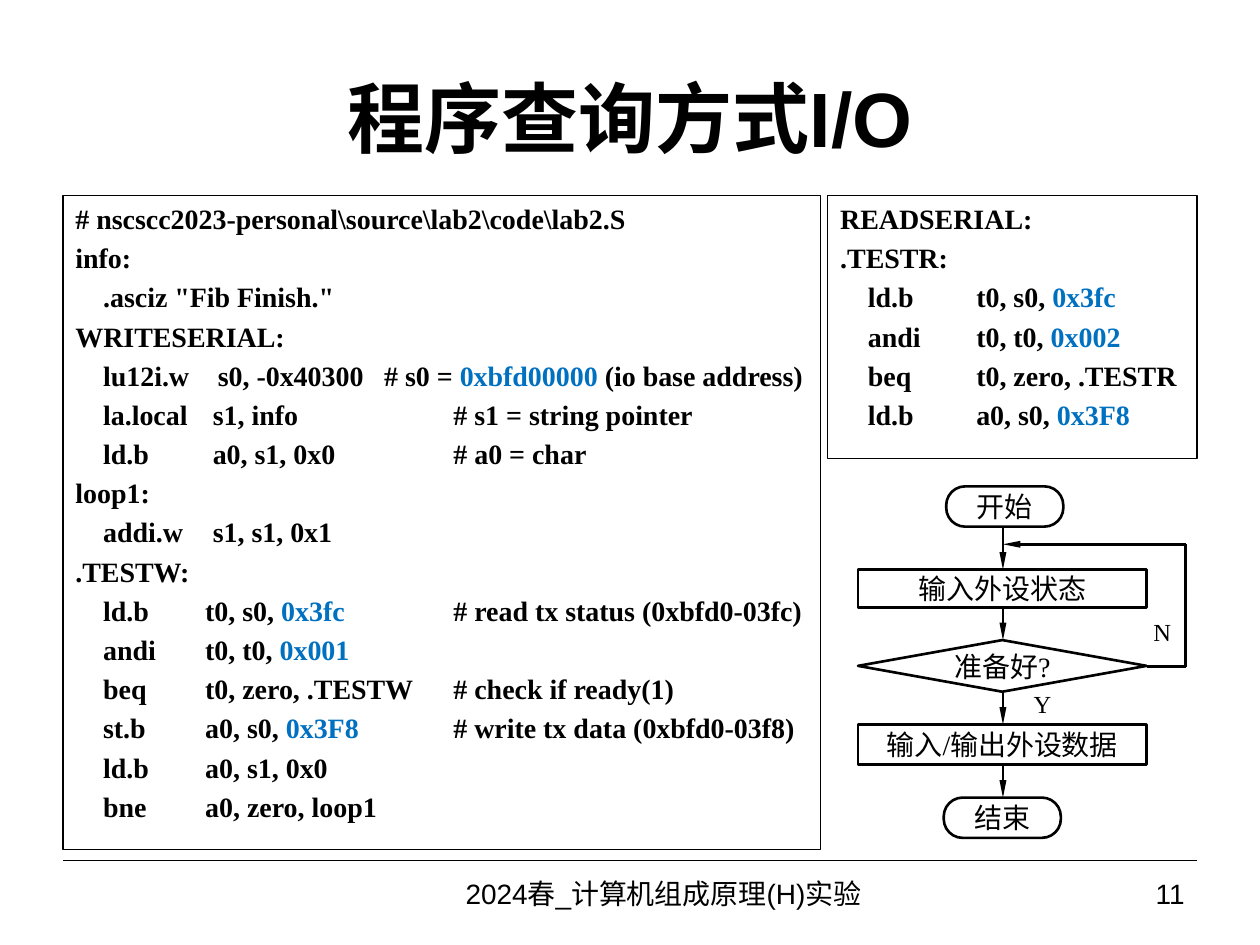
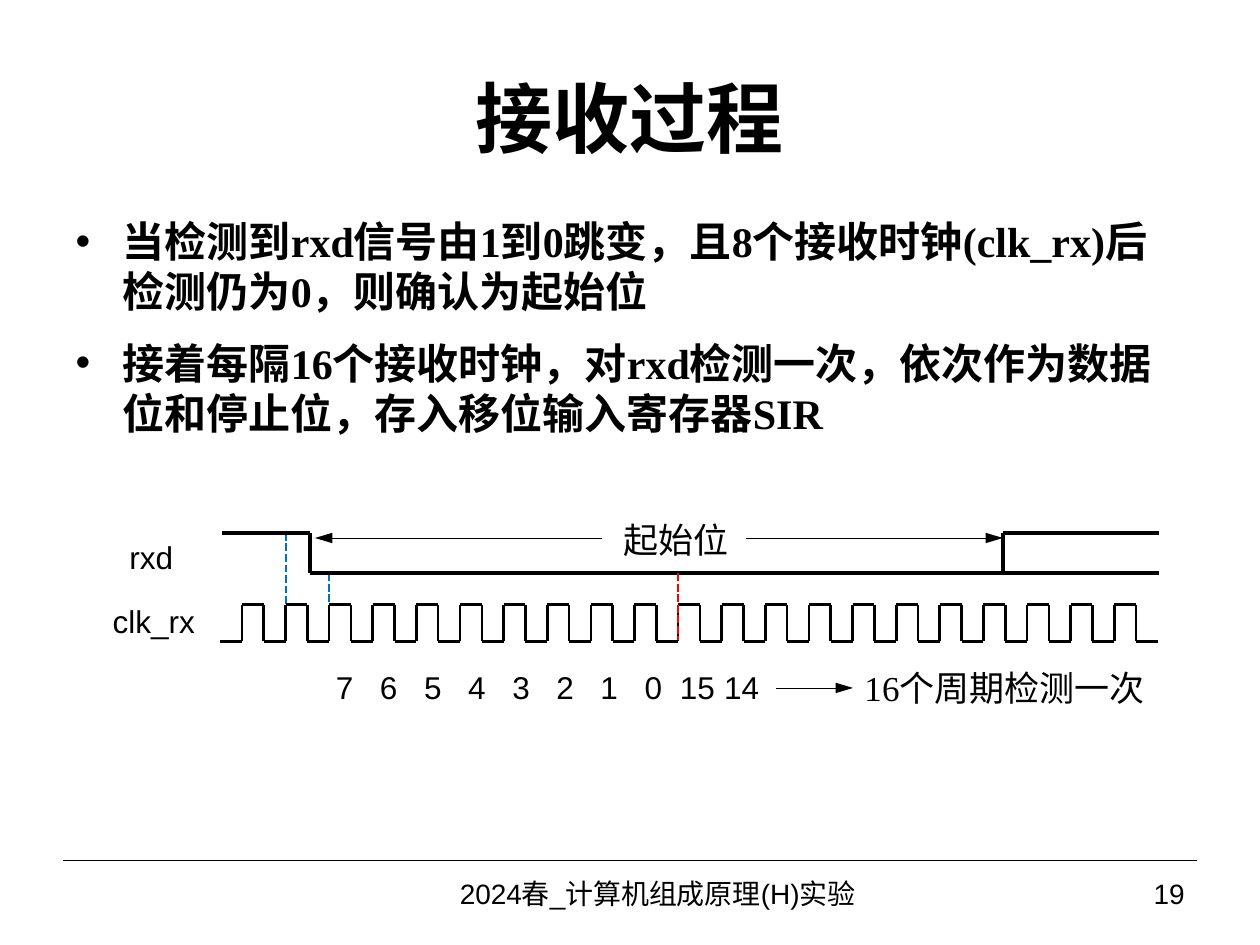
from lxml import etree
from pptx import Presentation
from pptx import util as u
from pptx.dml.color import RGBColor
from pptx.enum import dml, shapes, text
from pptx.oxml.ns import qn

BLACK = RGBColor(0, 0, 0)
BLUE = RGBColor(0x00, 0x70, 0xC0)
RED = RGBColor(0xFF, 0, 0)
SANS, SERIF = "Arial", "Times New Roman"
SHAPE = shapes.MSO_SHAPE
CENTER, RIGHT = text.PP_ALIGN.CENTER, text.PP_ALIGN.RIGHT
TITLE_AND_CONTENT, TITLE_ONLY = 1, 5

FOOTER = "2024春_计算机组成原理(H)实验 "

# Tab stops in inches: indent, operands, comment
UPPER, LOWER = (0.22, 1.09, 3), (0.22, 1.03, 3)
LONG_COMMENT = (0.22, 1.13, 2.45)
SERIAL = (0.22, 1.08)

# Code lines with their tab stops; |...| marks highlighted values
WRITE_CODE = [
    ("# nscscc2023-personal\\source\\lab2\\code\\lab2.S", UPPER),
    ("info:", UPPER),
    ("\t.asciz \"Fib Finish.\"", UPPER),
    ("WRITESERIAL:", UPPER),
    ("\tlu12i.w\ts0, -0x40300\t# s0 = |0xbfd00000| (io base address)", LONG_COMMENT),
    ("\tla.local\ts1, info\t# s1 = string pointer", UPPER),
    ("\tld.b\ta0, s1, 0x0\t# a0 = char", UPPER),
    ("loop1:", UPPER),
    ("\taddi.w\ts1, s1, 0x1", UPPER),
    (".TESTW:", LOWER),
    ("\tld.b\tt0, s0, |0x3fc|\t# read tx status (0xbfd0-03fc)", LOWER),
    ("\tandi\tt0, t0, |0x001|", LOWER),
    ("\tbeq\tt0, zero, .TESTW\t# check if ready(1)", LOWER),
    ("\tst.b\ta0, s0, |0x3F8|\t# write tx data (0xbfd0-03f8)", LOWER),
    ("\tld.b\ta0, s1, 0x0", LOWER),
    ("\tbne\ta0, zero, loop1", LOWER),
]
READ_CODE = [
    ("READSERIAL:", SERIAL),
    (".TESTR:", SERIAL),
    ("\tld.b\tt0, s0, |0x3fc|", SERIAL),
    ("\tandi\tt0, t0, |0x002|", SERIAL),
    ("\tbeq\tt0, zero, .TESTR", SERIAL),
    ("\tld.b\ta0, s0, |0x3F8|", SERIAL),
]
CODE_BOXES = [
    (WRITE_CODE, (0.5, 1.55, 6.01, 5.19)),
    (READ_CODE, (6.57, 1.55, 2.93, 2.09)),
]

FLOW_NODES = [
    ("开始", SHAPE.ROUNDED_RECTANGLE, (7.51, 3.86, 0.93, 0.32)),
    ("输入外设状态", SHAPE.RECTANGLE, (6.81, 4.52, 2.29, 0.3)),
    ("准备好?", SHAPE.DIAMOND, (6.81, 5.08, 2.29, 0.41)),
    ("输入/输出外设数据", SHAPE.RECTANGLE, (6.81, 5.75, 2.29, 0.32)),
    ("结束", SHAPE.ROUNDED_RECTANGLE, (7.49, 6.33, 0.93, 0.32)),
]
FLOW_X = 7.96
FLOW_LABELS = [("N", (9.09, 4.86, 0.27, 0.31)), ("Y", (7.96, 5.47, 0.63, 0.23))]
RETURN_PATH = [(9.1, 5.29), (9.41, 5.29), (9.41, 4.32)]

RECEIVE_STEPS = [
    "当检测到rxd信号由1到0跳变，且8个接收时钟(clk_rx)后检测仍为0，则确认为起始位",
    "接着每隔16个接收时钟，对rxd检测一次，依次作为数据位和停止位，存入移位输入寄存器SIR",
]
RXD_HIGH, RXD_LOW = 4.23, 4.55
RXD_PATHS = [
    [(1.76, RXD_HIGH), (2.46, RXD_HIGH), (2.46, RXD_LOW), (9.2, RXD_LOW)],
    [(7.96, RXD_LOW), (7.96, RXD_HIGH), (9.2, RXD_HIGH)],
]
CLOCK_HIGH, CLOCK_LOW = 4.8, 5.09
CLOCK_START, CLOCK_END, PULSES = 1.92, 9.19, 21
EDGE_MARKS = [
    ((2.61, RXD_LOW), (2.61, 5.08)),
    ((2.27, RXD_HIGH), (2.27, 5.01)),
]
SAMPLE_MARK = ((5.38, RXD_LOW), (5.38, 5.08))
THIN_ARROWS = [
    ((5.92, 4.27), (7.96, 4.27)),
    ((4.78, 4.27), (2.5, 4.27)),
    ((6.16, 5.46), (6.77, 5.46)),
]
SIGNAL_LABELS = [
    ("rxd", (0.94, 4.22, 0.52, 0.4), SANS, 18),
    ("clk_rx", (0.81, 4.73, 0.82, 0.4), SANS, 18),
    ("起始位", (4.93, 4.06, 0.87, 0.44), SERIF, 20),
    ("16个周期检测一次", (6.76, 5.24, 2.43, 0.44), SERIF, 20),
]
COUNTDOWN = [7, 6, 5, 4, 3, 2, 1, 0, 15, 14]


def inches(values):
    return [u.Inches(value) for value in values]


def place(shape, area):
    shape.left, shape.top, shape.width, shape.height = inches(area)


def format_span(span, font, size, bold=False, color=BLACK):
    span.font.name, span.font.size, span.font.bold = font, u.Pt(size), bold
    span.font.color.rgb = color


def write(shape, words, font, size, align=CENTER, inset=0.0, wrap=True):
    """Put one vertically centred line of text into a shape."""
    frame = shape.text_frame
    frame.text = words
    frame.word_wrap = wrap
    frame.vertical_anchor = text.MSO_ANCHOR.MIDDLE
    frame.margin_left = frame.margin_right = u.Inches(inset)
    frame.margin_top = frame.margin_bottom = 0
    para = frame.paragraphs[0]
    para.alignment = align
    format_span(para.runs[0], font, size)


def add_label(page, words, area, font, size, **options):
    write(page.shapes.add_textbox(*inches(area)), words, font, size, **options)


def add_outlined(page, kind, area, width):
    shape = page.shapes.add_shape(kind, *inches(area))
    shape.shadow.inherit = False
    shape.fill.background()
    shape.line.color.rgb = BLACK
    shape.line.width = u.Pt(width)
    return shape


def add_line(page, start, end, width, color=BLACK, head=None, dashed=False):
    """Draw a line; head is the arrowhead width at its end ("sm" or "med")."""
    line = page.shapes.add_connector(
        shapes.MSO_CONNECTOR.STRAIGHT, *inches(start + end))
    line.line.color.rgb = color
    line.line.width = u.Pt(width)
    if dashed:
        line.line.dash_style = dml.MSO_LINE.SQUARE_DOT
    properties = line._element.spPr
    if head:
        etree.SubElement(properties.find(qn("a:ln")), qn("a:tailEnd"),
                         type="triangle", w=head, len="lg")
    etree.SubElement(properties, qn("a:effectLst"))


def add_path(page, points, width):
    for start, end in zip(points, points[1:]):
        add_line(page, start, end, width)


def write_code(shape, lines):
    frame = shape.text_frame
    frame.word_wrap = True
    frame.vertical_anchor = text.MSO_ANCHOR.TOP
    for index, (line, stops) in enumerate(lines):
        para = frame.paragraphs[0] if index == 0 else frame.add_paragraph()
        para.alignment = text.PP_ALIGN.LEFT
        para.space_before = u.Pt(3.2)
        for part, words in enumerate(line.split("|")):
            if words:
                span = para.add_run()
                span.text = words
                format_span(span, SERIF, 16, True, BLUE if part % 2 else BLACK)
        tabs = etree.SubElement(para._p.get_or_add_pPr(), qn("a:tabLst"))
        for stop in stops:
            etree.SubElement(tabs, qn("a:tab"), pos=str(u.Inches(stop)), algn="l")


def add_page(deck, layout, title, number, footer_width):
    page = deck.slides.add_slide(deck.slide_layouts[layout])
    heading = page.shapes.title
    place(heading, (0.5, 0.3, 9, 1.25))
    write(heading, title, SANS, 44, inset=0.1)
    heading.text_frame.paragraphs[0].runs[0].font.bold = True
    add_line(page, (0.5, 6.83), (9.5, 6.83), 0.75)
    number_left = 2.83 + footer_width
    add_label(page, FOOTER, (2.83, 6.83, footer_width, 0.52), SANS, 16, inset=0.1)
    add_label(page, str(number), (number_left, 6.83, 9.5 - number_left, 0.52),
              SANS, 16, align=RIGHT, inset=0.1)
    return page


def add_flowchart(page):
    for words, kind, area in FLOW_NODES:
        node = add_outlined(page, kind, area, 1.5)
        if kind == SHAPE.ROUNDED_RECTANGLE:
            node.adjustments[0] = 0.47
        write(node, words, SERIF, 16, wrap=False)
    for (_, _, above), (_, _, below) in zip(FLOW_NODES, FLOW_NODES[1:]):
        add_line(page, (FLOW_X, above[1] + above[3]), (FLOW_X, below[1]),
                 1.5, head="sm")
    for words, area in FLOW_LABELS:
        add_label(page, words, area, SERIF, 14, wrap=False)
    add_path(page, RETURN_PATH, 1.5)
    add_line(page, RETURN_PATH[-1], (FLOW_X, 4.32), 1.5, head="sm")


def build_polling(deck):
    page = add_page(deck, TITLE_ONLY, "程序查询方式I/O", 11, 4.92)
    for lines, area in CODE_BOXES:
        write_code(add_outlined(page, SHAPE.RECTANGLE, area, 0.75), lines)
    add_flowchart(page)


def clock_points():
    period = (CLOCK_END - CLOCK_START) / PULSES
    points = [(CLOCK_START - period / 2, CLOCK_LOW)]
    for pulse in range(PULSES):
        rise = CLOCK_START + pulse * period
        fall = rise + period / 2
        points += [(rise, CLOCK_LOW), (rise, CLOCK_HIGH),
                   (fall, CLOCK_HIGH), (fall, CLOCK_LOW)]
    return points + [(CLOCK_END, CLOCK_LOW)]


def build_receiving(deck):
    page = add_page(deck, TITLE_AND_CONTENT, "接收过程", 19, 4.83)
    body = page.placeholders[1]
    place(body, (0.5, 1.66, 8.91, 2.4))
    frame = body.text_frame
    frame.text = "\n".join(RECEIVE_STEPS)
    frame.auto_size = text.MSO_AUTO_SIZE.NONE
    for index, para in enumerate(frame.paragraphs):
        para.space_before = u.Pt(6 if index else 0)
        para.space_after = u.Pt(6)
        format_span(para.runs[0], SERIF, 24, True)

    for start, end in EDGE_MARKS:
        add_line(page, start, end, 1.5, BLUE, dashed=True)
    for points in RXD_PATHS:
        add_path(page, points, 2.25)
    add_path(page, clock_points(), 1.5)
    add_line(page, *SAMPLE_MARK, 1.5, RED, dashed=True)
    for start, end in THIN_ARROWS:
        add_line(page, start, end, 0.25, head="med")
    for words, area, font, size in SIGNAL_LABELS:
        add_label(page, words, area, font, size, wrap=False)
    for step, count in enumerate(COUNTDOWN):
        add_label(page, str(count), (2.54 + 0.35 * step, 5.25, 0.39, 0.4), SANS, 18)


def main():
    deck = Presentation()
    deck.slide_width, deck.slide_height = inches((10, 7.5))
    build_polling(deck)
    build_receiving(deck)
    deck.save("out.pptx")


if __name__ == "__main__":
    main()
